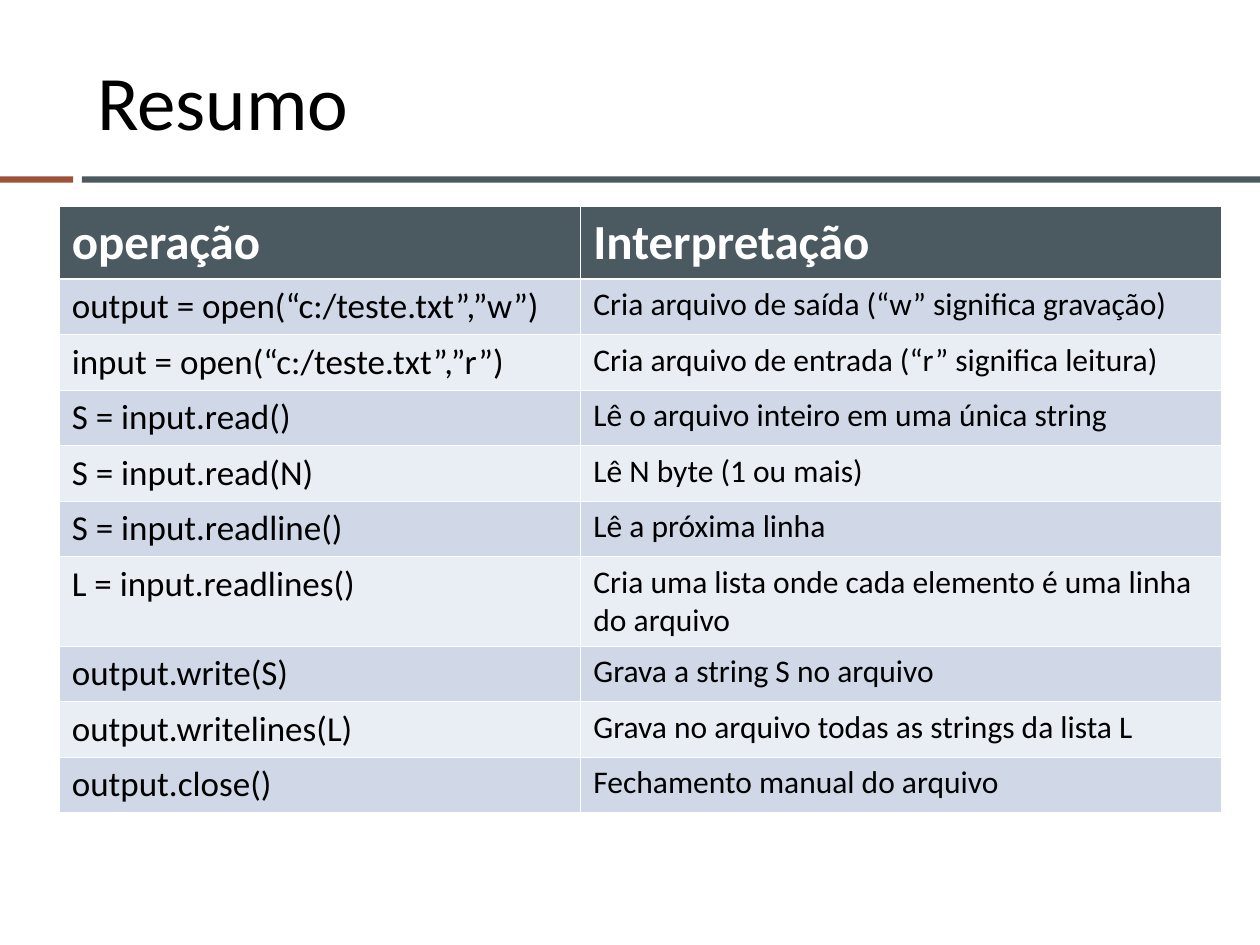
from lxml.etree import SubElement as Sub
from pptx import Presentation
from pptx.dml.color import RGBColor as RGB
from pptx.enum.shapes import MSO_SHAPE as Shape
from pptx.enum.text import MSO_ANCHOR as Anchor, PP_ALIGN as Align
from pptx.oxml.ns import qn
from pptx.util import Inches, Pt

RUST = RGB(0x9C, 0x52, 0x38)
SLATE = RGB(0x4B, 0x5A, 0x60)
DARK = RGB(0xD0, 0xD8, 0xE8)
LIGHT = RGB(0xE9, 0xED, 0xF4)
WHITE = RGB(0xFF, 0xFF, 0xFF)
BLACK = RGB(0, 0, 0)
FACE = "Calibri"
THIN, THICK = Pt(0.45), Pt(1.47)

ROWS = [
    ("operação", "Interpretação"),
    ("output = open(“c:/teste.txt”,”w”)", "Cria arquivo de saída (“w” significa gravação)"),
    ("input = open(“c:/teste.txt”,”r”)", "Cria arquivo de entrada (“r” significa leitura)"),
    ("S = input.read()", "Lê o arquivo inteiro em uma única string"),
    ("S = input.read(N)", "Lê N byte (1 ou mais)"),
    ("S = input.readline()", "Lê a próxima linha"),
    ("L = input.readlines()", "Cria uma lista onde cada elemento é uma linha do arquivo"),
    ("output.write(S)", "Grava a string S no arquivo"),
    ("output.writelines(L)", "Grava no arquivo todas as strings da lista L"),
    ("output.close()", "Fechamento manual do arquivo"),
]
WIDTHS = (4.14, 5.08)
HEAD, LINE, TALL = 0.57, 0.43, 0.7
WRAPPED = 6


def style(para, size, color, bold=False):
    font = para.runs[0].font
    font.name, font.size, font.bold = FACE, Pt(size), bold
    font.color.rgb = color


def add_title(slide, left, top, width, height):
    title = slide.shapes.title
    title.left, title.top = Inches(left), Inches(top)
    title.width, title.height = Inches(width), Inches(height)
    frame = title.text_frame
    frame.text = "Resumo"
    frame.vertical_anchor = Anchor.MIDDLE
    para = frame.paragraphs[0]
    para.alignment = Align.LEFT
    style(para, 44, BLACK)


def add_rule(slide, left, top, width, height):
    short, gap = 0.58, 0.07
    start = short + gap
    for shift, span, color in ((0, short, RUST), (start, width - start, SLATE)):
        bar = slide.shapes.add_shape(
            Shape.RECTANGLE, Inches(left + shift), Inches(top),
            Inches(span), Inches(height))
        bar.shadow.inherit = False
        bar.fill.solid()
        bar.fill.fore_color.rgb = color
        bar.line.fill.background()


def add_edges(cell, top, bottom):
    props = cell._tc.get_or_add_tcPr()
    for side, width in (("L", THIN), ("R", THIN), ("T", top), ("B", bottom)):
        edge = Sub(props, qn(f"a:ln{side}"), w=str(int(width)))
        fill = Sub(edge, qn("a:solidFill"))
        Sub(fill, qn("a:srgbClr"), val=str(WHITE))


def fill_cell(cell, text, row, col):
    add_edges(cell, THICK if row == 1 else THIN, THICK if row == 0 else THIN)
    cell.fill.solid()
    cell.text_frame.text = text
    para = cell.text_frame.paragraphs[0]
    if row == 0:
        cell.fill.fore_color.rgb = SLATE
        style(para, 28, WHITE, True)
    else:
        cell.fill.fore_color.rgb = DARK if row % 2 else LIGHT
        style(para, 18 if col else 20, BLACK)


def add_grid(slide, left, top, width, height):
    table = slide.shapes.add_table(
        len(ROWS), len(WIDTHS), Inches(left), Inches(top),
        Inches(width), Inches(height)).table
    for col, size in zip(table.columns, WIDTHS):
        col.width = Inches(size)
    for row, texts in enumerate(ROWS):
        size = {0: HEAD, WRAPPED: TALL}.get(row, LINE)
        table.rows[row].height = Inches(size)
        for col, text in enumerate(texts):
            fill_cell(table.cell(row, col), text, row, col)


def main():
    deck = Presentation()
    deck.slide_width, deck.slide_height = Inches(10), Inches(7.5)
    slide = deck.slides.add_slide(deck.slide_layouts[5])
    add_rule(slide, 0, 1.4, 10, 0.05)
    add_title(slide, 0.67, 0.25, 8.92, 1.08)
    add_grid(slide, 0.47, 1.64, sum(WIDTHS), 4.74)
    deck.save("out.pptx")


if __name__ == "__main__":
    main()
